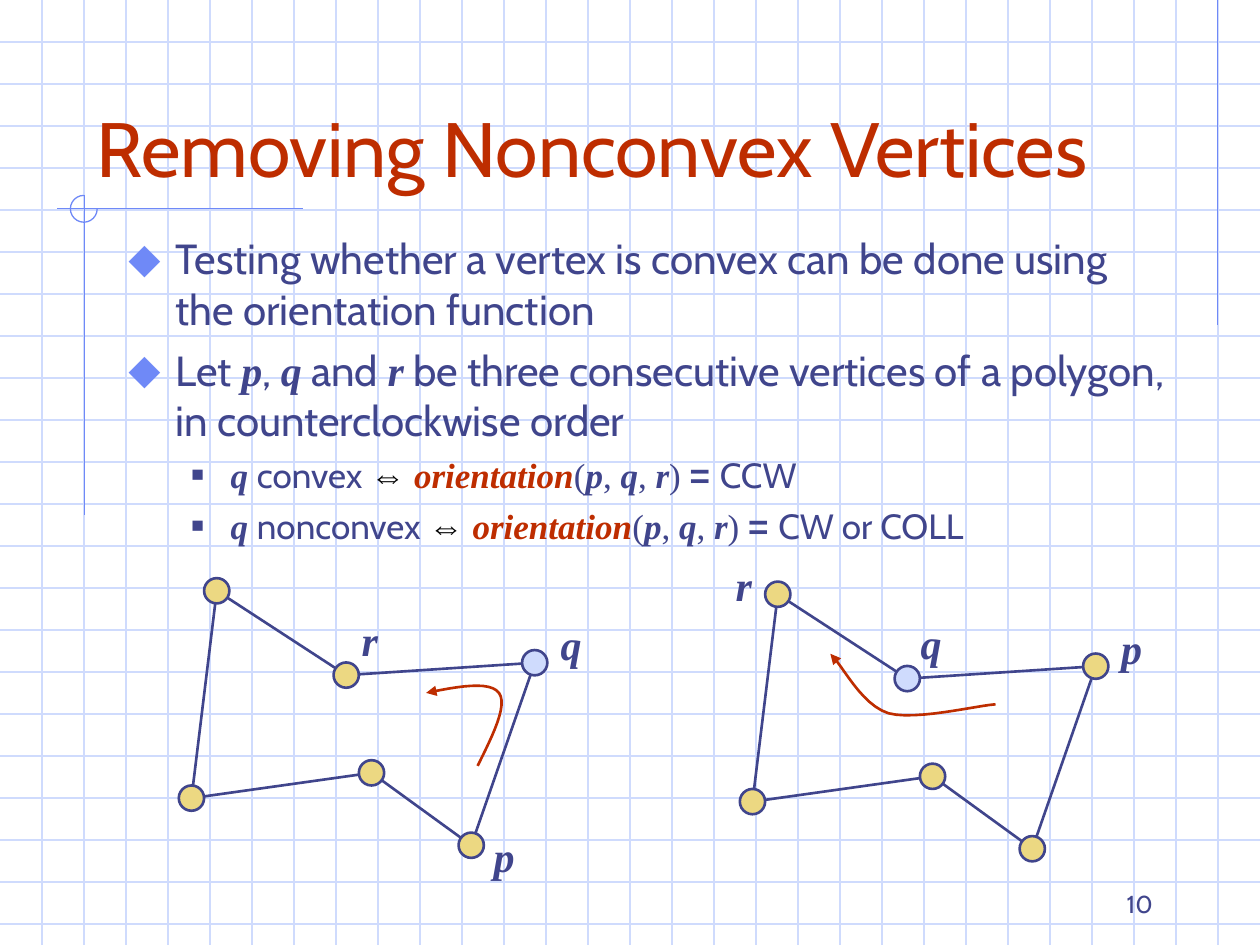
from lxml import etree
from pptx import Presentation
from pptx.dml.color import RGBColor
from pptx.enum.shapes import MSO_CONNECTOR, MSO_SHAPE
from pptx.enum.text import MSO_ANCHOR, PP_ALIGN
from pptx.oxml.ns import qn
from pptx.util import Cm, Pt

LINE = MSO_CONNECTOR.STRAIGHT
OVAL, ARC = MSO_SHAPE.OVAL, MSO_SHAPE.ARC
TOP, BOTTOM = MSO_ANCHOR.TOP, MSO_ANCHOR.BOTTOM
LEFT, MID, RIGHT = PP_ALIGN.LEFT, PP_ALIGN.CENTER, PP_ALIGN.RIGHT


class Theme:
    ink, red, black = "40458C", "BE2D00", "000000"
    grid, rule = "CFDBFD", "6F89F7"
    node, focus = "ECD882", "CFDBFD"
    sans, serif, sign = "Cabin", "Times New Roman", "Arial"
    title, body, sub, page = 44, 24, 20, 14
    thin, thick = 0.75, 1.5


WIDE, HIGH = 25.4, 19.05
STEP = WIDE / 30
DOT = 0.51

STYLES = {
    "text": (Theme.sans, Theme.ink, False, False),
    "var": (Theme.serif, Theme.ink, True, True),
    "func": (Theme.serif, Theme.red, True, True),
    "math": (Theme.serif, Theme.ink, False, False),
    "iff": (Theme.sign, Theme.black, False, False),
    "equal": (Theme.sign, Theme.ink, True, False),
}


def rule_runs(kind, result):
    return [
        ("q ", "var"), (kind + " ", "text"), ("⇔", "iff"),
        (" orientation", "func"), ("(", "math"), ("p", "var"),
        (", ", "math"), ("q", "var"), (", ", "math"), ("r", "var"),
        (") ", "math"), ("= ", "equal"), (result, "text"),
    ]


TITLE = "Removing Nonconvex Vertices"
PAGE = "10"
BODY = [
    (0, [("Testing whether a vertex is convex can be done using "
          "the orientation function", "text")]),
    (0, [("Let ", "text"), ("p", "var"), (", ", "text"), ("q", "var"),
         (" and ", "text"), ("r", "var"),
         (" be three consecutive vertices of a polygon, "
          "in counterclockwise order", "text")]),
    (1, rule_runs("convex", "CCW")),
    (1, rule_runs("nonconvex", "CW or COLL")),
]
LEVELS = [
    dict(size=Theme.body, left=0.95, hang=0.95, gap=6,
         mark="⬥", color=Theme.rule, scale=110),
    dict(size=Theme.sub, left=2.06, hang=0.79, gap=5,
         mark="■", color=Theme.ink, scale=60),
]
RULES = [
    (24.55, 0, 24.55, 6.56),
    (6.1, 4.21, 1.14, 4.21),
    (1.7, 3.93, 1.7, 10.39),
]
NODES = [(4.37, 11.91), (6.98, 13.61), (10.78, 13.36),
         (9.5, 17.04), (7.49, 15.58), (3.86, 16.09)]
FIGURES = [
    dict(shift=(11.31, 0.07), focus=1,
         names=[("p", 22.35, 12.42), ("q", 18.31, 12.32), ("r", 14.54, 11.15)],
         turn=[(20.07, 14.2), (19.71, 14.22), (18.47, 14.53), (17.91, 14.38),
               (17.35, 14.2), (16.99, 13.41), (16.74, 13.18)]),
    dict(shift=(0, 0), focus=2,
         names=[("q", 11.05, 12.34), ("r", 7.0, 12.27), ("p", 9.7, 16.61)],
         turn=[(9.63, 15.44), (9.93, 14.83), (10.24, 14.22), (10.06, 13.97),
               (9.88, 13.72), (9.22, 13.84), (8.59, 13.97)]),
]


def rgb(code):
    return RGBColor.from_string(code)


def stroke(item, color, width):
    item.line.color.rgb = rgb(color)
    item.line.width = Pt(width)


def add_line(shapes, ends, color, width):
    line = shapes.add_connector(LINE, *[Cm(v) for v in ends])
    stroke(line, color, width)
    etree.SubElement(line._element.spPr, qn("a:effectLst"))


def style(run, name, size):
    face, color, bold, slant = STYLES[name]
    font = run.font
    font.name, font.size = face, Pt(size)
    font.color.rgb = rgb(color)
    font.bold, font.italic = bold, slant


def add_box(shapes, place, anchor=TOP, wrap=True):
    frame = shapes.add_textbox(*[Cm(v) for v in place]).text_frame
    frame.word_wrap = wrap
    frame.vertical_anchor = anchor
    return frame


def add_label(shapes, place, text, name, size, align, anchor=TOP, wrap=True):
    frame = add_box(shapes, place, anchor, wrap)
    frame.text = text
    para = frame.paragraphs[0]
    para.alignment = align
    style(para.runs[0], name, size)


def add_bullet(para, level):
    props = para._p.get_or_add_pPr()
    props.set("marL", str(Cm(level["left"])))
    props.set("indent", str(-Cm(level["hang"])))
    tint = etree.SubElement(props, qn("a:buClr"))
    etree.SubElement(tint, qn("a:srgbClr"), val=level["color"])
    etree.SubElement(props, qn("a:buSzPct"), val=str(level["scale"] * 1000))
    etree.SubElement(props, qn("a:buFont"), typeface=Theme.sign)
    etree.SubElement(props, qn("a:buChar"), char=level["mark"])


def add_body(shapes):
    frame = add_box(shapes, (2.34, 4.57, 21.59, 6.78))
    for i, (depth, parts) in enumerate(BODY):
        para = frame.add_paragraph() if i else frame.paragraphs[0]
        level = LEVELS[depth]
        para.level = depth
        add_bullet(para, level)
        para.space_before = Pt(level["gap"] if i else 0)
        for text, name in parts:
            run = para.add_run()
            run.text = text
            style(run, name, level["size"])


def add_grid(shapes):
    for i in range(1, int(HIGH / STEP) + 1):
        add_line(shapes, (0, i * STEP, WIDE, i * STEP), Theme.grid, Theme.thin)
    for i in range(1, 30):
        add_line(shapes, (i * STEP, 0, i * STEP, HIGH), Theme.grid, Theme.thin)
    for ends in RULES:
        add_line(shapes, ends, Theme.rule, Theme.thin)
    arc = shapes.add_shape(ARC, Cm(1.42), Cm(3.94), Cm(0.54), Cm(0.54))
    arc.adjustments[0], arc.adjustments[1] = 0, 162
    arc.fill.background()
    arc.shadow.inherit = False
    stroke(arc, Theme.rule, Theme.thin)


def bezier(a, b, c, d, t):
    s = 1 - t
    return tuple(s**3 * w + 3 * s * s * t * x + 3 * s * t * t * y + t**3 * z
                 for w, x, y, z in zip(a, b, c, d))


def add_turn(shapes, turn, steps=12):
    curve = [bezier(*turn[k:k + 4], n / steps)
             for k in (0, 3) for n in range(1, steps + 1)]
    pen = shapes.build_freeform(*[Cm(v) for v in turn[0]])
    pen.add_line_segments([(Cm(x), Cm(y)) for x, y in curve], close=False)
    arrow = pen.convert_to_shape()
    arrow.fill.background()
    arrow.shadow.inherit = False
    stroke(arrow, Theme.red, Theme.thick)
    etree.SubElement(arrow.line._get_or_add_ln(), qn("a:tailEnd"), type="triangle")


def add_figure(shapes, figure):
    dx, dy = figure["shift"]
    nodes = [(x + dx, y + dy) for x, y in NODES]
    for a, b in zip(nodes, nodes[1:] + nodes[:1]):
        add_line(shapes, a + b, Theme.ink, Theme.thick)
    for i, (x, y) in enumerate(nodes):
        dot = shapes.add_shape(OVAL, Cm(x - DOT / 2), Cm(y - DOT / 2), Cm(DOT), Cm(DOT))
        dot.fill.solid()
        dot.fill.fore_color.rgb = rgb(Theme.focus if i == figure["focus"] else Theme.node)
        dot.shadow.inherit = False
        stroke(dot, Theme.ink, Theme.thick)
    for text, x, y in figure["names"]:
        add_label(shapes, (x, y, 0.91, 1.27), text, "var", Theme.body, MID, wrap=False)
    add_turn(shapes, figure["turn"])


def main():
    deck = Presentation()
    deck.slide_width, deck.slide_height = Cm(WIDE), Cm(HIGH)
    shapes = deck.slides.add_slide(deck.slide_layouts[6]).shapes
    add_grid(shapes)
    add_label(shapes, (1.69, 0.85, 21.59, 3.17), TITLE, "text", Theme.title, LEFT, BOTTOM)
    shapes[-1].text_frame.paragraphs[0].runs[0].font.color.rgb = rgb(Theme.red)
    add_body(shapes)
    for figure in FIGURES:
        add_figure(shapes, figure)
    add_label(shapes, (18.2, 17.36, 5.29, 1.27), PAGE, "text", Theme.page, RIGHT, BOTTOM)
    deck.save("out.pptx")


if __name__ == "__main__":
    main()
